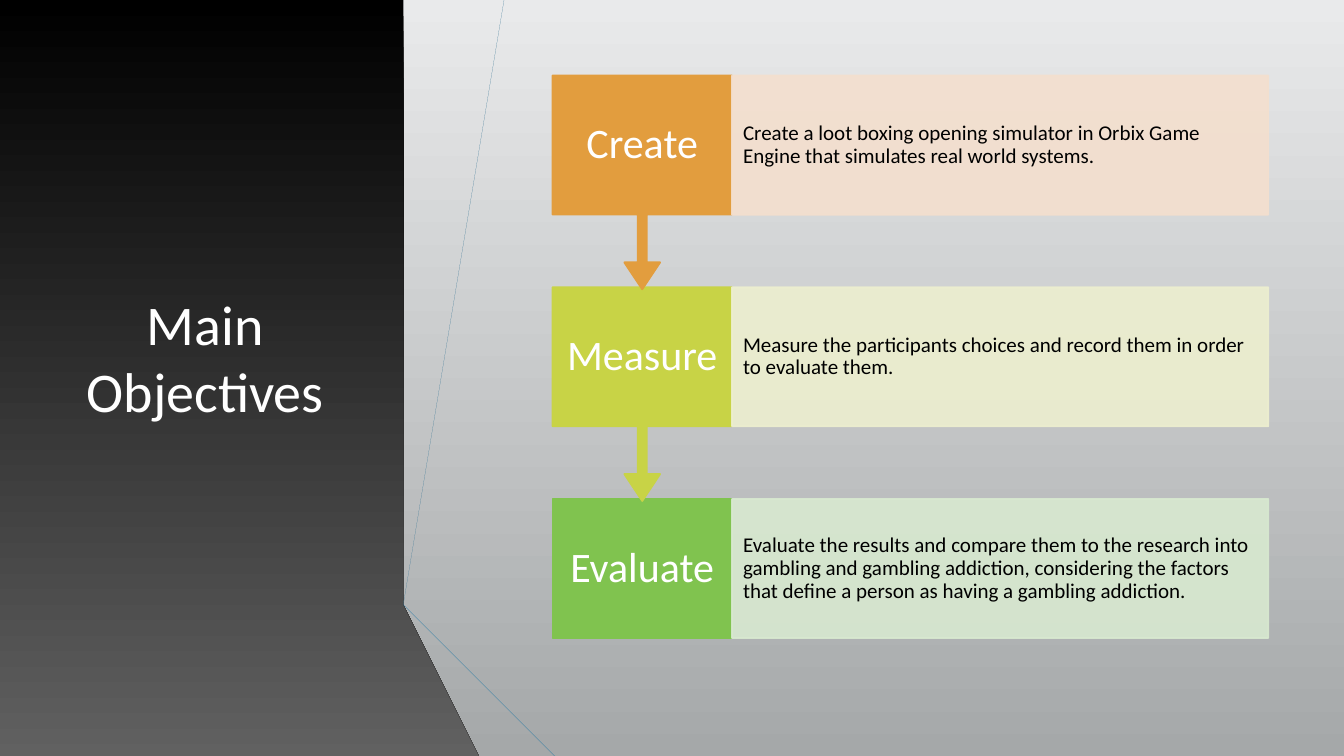
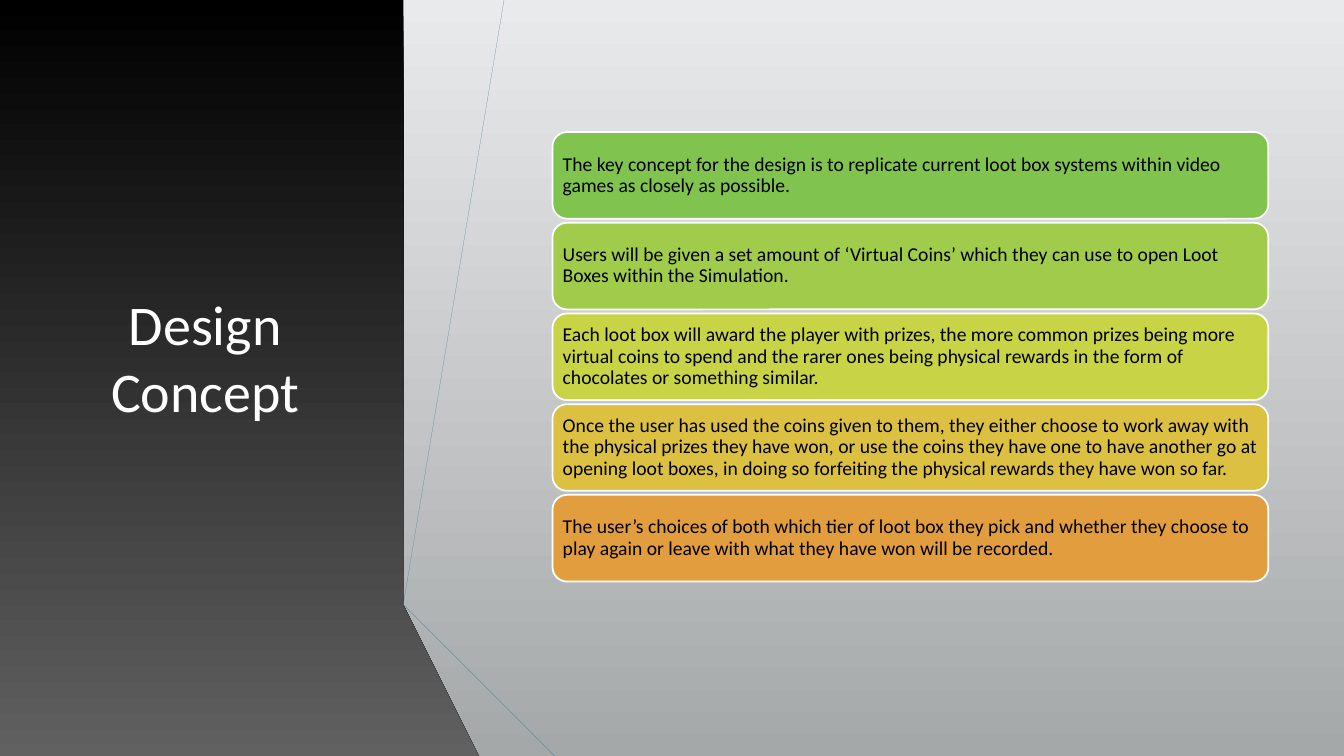
from dataclasses import dataclass
from typing import Optional

from lxml.etree import SubElement
from pptx import Presentation
from pptx.dml.color import RGBColor
from pptx.dml.fill import FillFormat
from pptx.enum.shapes import MSO_SHAPE as Preset
from pptx.enum.text import MSO_ANCHOR as Anchor, PP_ALIGN as Align
from pptx.oxml.ns import qn
from pptx.shapes.autoshape import Shape
from pptx.slide import Slide
from pptx.text.text import TextFrame
from pptx.util import Inches, Pt

FONT = "Calibri"
COLORS = {
    "white": "FFFFFF", "black": "000000",
    "sky": "E9EAEB", "steel": "A5A8A9", "panel_end": "676767",
    "blue": "30ACEC", "blue_fold": "1287C3", "blue_shade": "0C5A82",
    "gray": "595959", "gray_fold": "404040", "gray_shade": "262626",
    "green": "80C34F", "leaf": "A1CB4A", "lime": "C8D346",
    "gold": "DBC042", "orange": "E29D3E",
    "green_tint": "D8E9D0", "lime_tint": "EDEFCF", "orange_tint": "F4DFCE",
}
CONTENT_LEFT, CONTENT_WIDTH = 5.48, 7.1

Points = list[tuple[float, float]]


@dataclass(frozen=True)
class Band:
    color: str
    points: Points


@dataclass(frozen=True)
class TextStyle:
    size: float
    color: str
    align: Align = Align.LEFT
    inset_x: float = 0.1
    inset_y: float = 0.05
    line_spacing: float = 1.0


@dataclass(frozen=True)
class Objective:
    label: str
    description: str
    color: str
    tint: str


@dataclass(frozen=True)
class Concept:
    text: str
    color: str


TITLE = TextStyle(40, "white", Align.CENTER)
LABEL = TextStyle(30, "white", Align.CENTER, 0.13, 0.23, 0.9)
DESCRIPTION = TextStyle(15, "black", Align.LEFT, 0.11, 0.21, 0.9)
CONCEPT = TextStyle(14, "black", Align.LEFT, 0.06, 0.06, 0.9)

PANEL: Points = [(0, 0), (4.49, 0), (3.56, 5.75), (4.82, 7.5), (0, 7.5)]
BANDS = [
    Band("blue", [(3.96, 5.78), (4.23, 5.83), (5.19, 0), (4.91, 0)]),
    Band("gray", [(4.85, 0), (4.57, 0), (3.63, 5.73), (3.9, 5.77)]),
    Band("gray_shade", [(3.63, 5.73), (4.91, 7.5), (4.97, 7.5)]),
    Band("blue_shade", [(3.96, 5.79), (5.54, 7.5), (5.6, 7.5)]),
    Band("blue_fold", [(3.96, 5.78), (5.6, 7.5), (6.29, 7.5), (4.23, 5.83)]),
    Band("gray_fold", [(5.48, 7.5), (3.95, 5.83), (3.9, 5.77), (3.63, 5.73), (4.97, 7.5)]),
]

OBJECTIVES = [
    Objective("Create", "Create a loot boxing opening simulator in Orbix Game Engine "
              "that simulates real world systems.", "orange", "orange_tint"),
    Objective("Measure", "Measure the participants choices and record them in order "
              "to evaluate them.", "lime", "lime_tint"),
    Objective("Evaluate", "Evaluate the results and compare them to the research into "
              "gambling and gambling addiction, considering the factors that define "
              "a person as having a gambling addiction.", "green", "green_tint"),
]
CONCEPTS = [
    Concept("The key concept for the design is to replicate current loot box systems "
            "within video games as closely as possible.", "green"),
    Concept("Users will be given a set amount of ‘Virtual Coins’ which they can use to "
            "open Loot Boxes within the Simulation.", "leaf"),
    Concept("Each loot box will award the player with prizes, the more common prizes "
            "being more virtual coins to spend and the rarer ones being physical rewards "
            "in the form of chocolates or something similar.", "lime"),
    Concept("Once the user has used the coins given to them, they either choose to work "
            "away with the physical prizes they have won, or use the coins they have one "
            "to have another go at opening loot boxes, in doing so forfeiting the "
            "physical rewards they have won so far.", "gold"),
    Concept("The user’s choices of both which tier of loot box they pick and whether they "
            "choose to play again or leave with what they have won will be recorded.",
            "orange"),
]


# Shared drawing helpers
def rgb(name: str) -> RGBColor:
    return RGBColor.from_string(COLORS[name])


def fill_gradient(fill: FillFormat, top: str, bottom: str) -> None:
    fill.gradient()
    fill.gradient_angle = 270
    for stop, color in zip(fill.gradient_stops, (top, bottom)):
        stop.color.rgb = rgb(color)


def write_text(frame: TextFrame, text: str, style: TextStyle) -> None:
    frame.word_wrap = True
    frame.vertical_anchor = Anchor.MIDDLE
    frame.margin_left = frame.margin_right = Inches(style.inset_x)
    frame.margin_top = frame.margin_bottom = Inches(style.inset_y)
    paragraph = frame.paragraphs[0]
    paragraph.text = text
    paragraph.alignment = style.align
    paragraph.line_spacing = style.line_spacing
    paragraph.font.name = FONT
    paragraph.font.size = Pt(style.size)
    paragraph.font.color.rgb = rgb(style.color)


def add_outline(slide: Slide, points: Points) -> Shape:
    builder = slide.shapes.build_freeform(*points[0], scale=Inches(1))
    builder.add_line_segments(points[1:], close=True)
    shape = builder.convert_to_shape()
    shape.shadow.inherit = False
    shape.line.fill.background()
    return shape


def add_box(slide: Slide, preset: Preset, left: float, top: float, width: float,
            height: float, color: str, text: str, style: TextStyle,
            line: Optional[str] = None) -> Shape:
    shape = slide.shapes.add_shape(
        preset, Inches(left), Inches(top), Inches(width), Inches(height))
    shape.shadow.inherit = False
    shape.fill.solid()
    shape.fill.fore_color.rgb = rgb(color)
    shape.line.color.rgb = rgb(line or color)
    shape.line.width = Pt(1.25)
    write_text(shape.text_frame, text, style)
    return shape


def set_opacity(shape: Shape, percent: int) -> None:
    for color in shape._element.spPr.iter(qn("a:srgbClr")):
        SubElement(color, qn("a:alpha")).set("val", str(percent * 1000))


def add_titled_slide(presentation: Presentation, title: str) -> Slide:
    slide = presentation.slides.add_slide(presentation.slide_layouts[6])
    fill_gradient(slide.background.fill, "sky", "steel")
    fill_gradient(add_outline(slide, PANEL).fill, "black", "panel_end")
    title_box = slide.shapes.add_textbox(Inches(0.59), Inches(0.75), Inches(2.89), Inches(5.58))
    write_text(title_box.text_frame, title, TITLE)
    for band in BANDS:
        shape = add_outline(slide, band.points)
        shape.fill.solid()
        shape.fill.fore_color.rgb = rgb(band.color)
    return slide


# Slide contents
def add_objectives(slide: Slide) -> None:
    top, pitch, height, callout_height, label_width = 0.75, 2.1, 1.38, 2.12, 1.78
    last = len(OBJECTIVES) - 1
    # Bottom row first, so each arrow tip lies over the row below
    for index, objective in reversed(list(enumerate(OBJECTIVES))):
        row_top = top + index * pitch
        is_last = index == last
        label = add_box(slide, Preset.RECTANGLE if is_last else Preset.DOWN_ARROW_CALLOUT,
                        CONTENT_LEFT, row_top, label_width,
                        height if is_last else callout_height,
                        objective.color, objective.label, LABEL)
        if not is_last:
            for position, value in enumerate((0.05, 0.1, 0.15, 0.65)):
                label.adjustments[position] = value
        description = add_box(slide, Preset.RECTANGLE, CONTENT_LEFT + label_width, row_top,
                              CONTENT_WIDTH - label_width, height,
                              objective.tint, objective.description, DESCRIPTION)
        set_opacity(description, 90)


def add_concepts(slide: Slide) -> None:
    top, pitch, height = 1.31, 0.9, 0.86
    for index, concept in enumerate(CONCEPTS):
        add_box(slide, Preset.ROUNDED_RECTANGLE, CONTENT_LEFT, top + index * pitch,
                CONTENT_WIDTH, height, concept.color, concept.text, CONCEPT, "white")


def main() -> None:
    presentation = Presentation()
    presentation.slide_width = Inches(13.33)
    presentation.slide_height = Inches(7.5)
    add_objectives(add_titled_slide(presentation, "Main Objectives"))
    add_concepts(add_titled_slide(presentation, "Design Concept"))
    presentation.save("out.pptx")


main()
